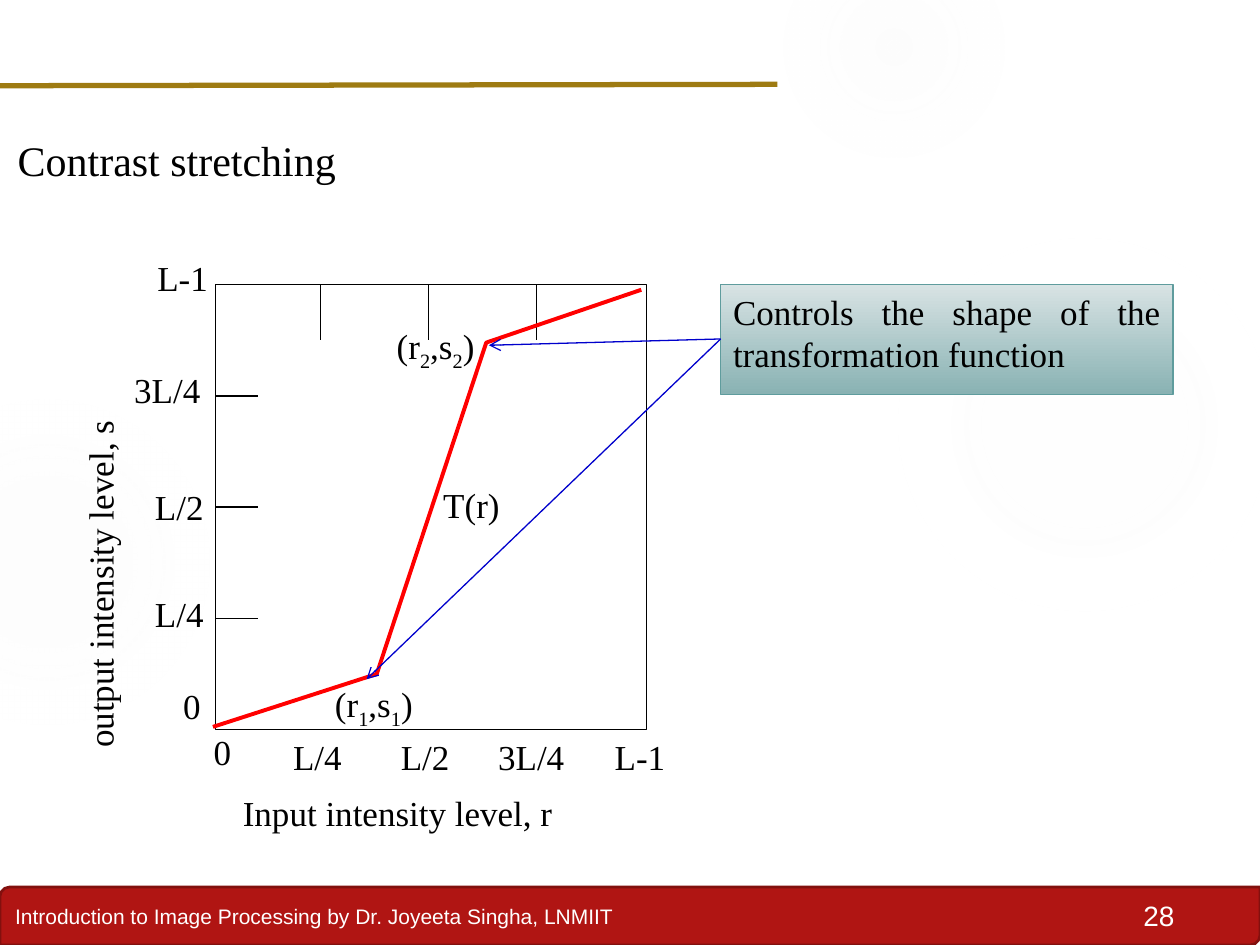
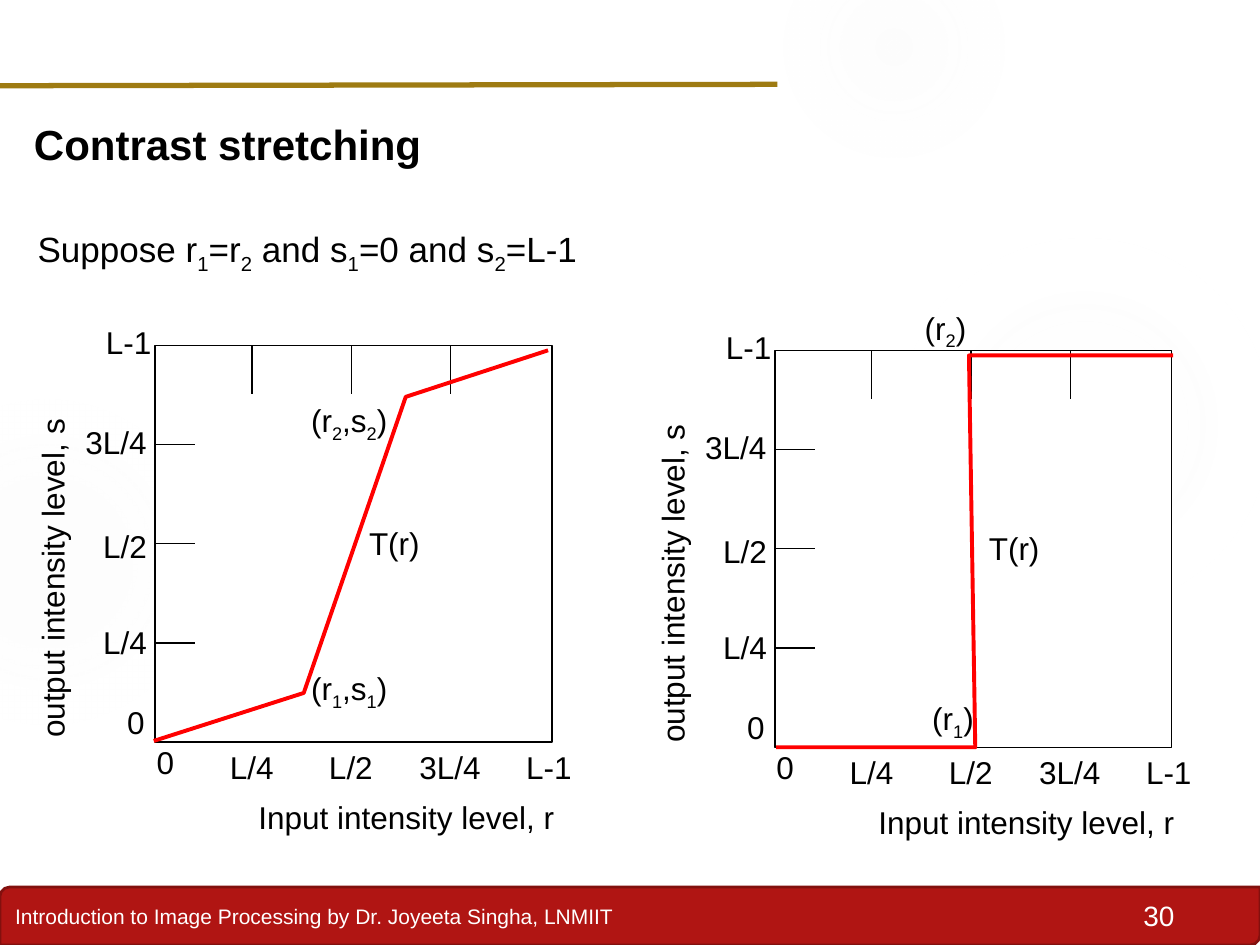
from dataclasses import dataclass

from lxml import etree
from pptx import Presentation
from pptx.dml.color import RGBColor
from pptx.enum import shapes, text
from pptx.oxml import ns, parse_xml
from pptx.util import Pt


@dataclass(frozen=True)
class Theme:
    ink: str = "000000"
    paper: str = "FFFFFF"
    band: str = "B01513"
    band_edge: str = "82100E"
    gold: str = "9E7B12"
    halo: str = "F3F3F3"
    curve: str = "FF0000"
    arrow: str = "0000CC"
    callout_top: str = "D8E3E4"
    callout_bottom: str = "89B2B3"
    callout_edge: str = "5F9C9D"
    sans: str = "Arial"
    serif: str = "Times New Roman"
    title: int = 24
    large: int = 20
    label: int = 18
    number: int = 16
    footer: int = 12


THEME = Theme()
FOOTER = "Introduction to Image Processing by Dr. Joyeeta Singha, LNMIIT"
HALOS = [
    (509, 131.8, 221.8, [(0, 7), (36, 6), (69, 0)]),
    (447.8, -36, 126, [(0, 14), (36, 7), (73, 0)]),
    (-66.2, 228.2, 185.8, [(0, 8), (36, 8), (72, 0)]),
]
X_LABELS = ["0", "L/4", "L/2", "3L/4", "L-1"]
LABEL_WIDTHS = {"0": 24.4, "L/4": 39.6, "L/2": 39.6, "3L/4": 49.8, "L-1": 41}
Y_NUDGES = [(-1.5, -11.5), (0, -0.5), (0, 1.5), (0, -1.3), (3, -1.8)]
TICK_SHIFT = -1.3


def rgb(color):
    return RGBColor.from_string(color)


class Page:
    def __init__(self, deck, theme, font, size):
        self.deck, self.theme = deck, theme
        self.font, self.size = font, size
        self.slide = deck.slides.add_slide(deck.slide_layouts[5])
        self.items = self.slide.shapes

    def set_text(self, box, words, size=None, font=None, color=None, bold=False,
                 align=text.PP_ALIGN.LEFT, anchor=text.MSO_ANCHOR.TOP):
        frame = box.text_frame
        frame.word_wrap = True
        frame.auto_size = text.MSO_AUTO_SIZE.NONE
        frame.vertical_anchor = anchor
        frame.margin_left = frame.margin_right = Pt(7.2)
        frame.margin_top = frame.margin_bottom = Pt(3.6)
        para = frame.paragraphs[0]
        para.alignment = align
        para.font.size = Pt(size or self.size)
        para.font.name = font or self.font
        para.font.bold = bold
        para.font.color.rgb = rgb(color or self.theme.ink)
        first, *rest = words.split("_")
        para.add_run().text = first
        for part in rest:
            span = para.add_run()
            span.text = part[0]
            span.font._element.set("baseline", "-25000")
            if part[1:]:
                para.add_run().text = part[1:]

    def title(self, words, left, top, width, bold=False):
        box = self.items.title
        box.left, box.top, box.width, box.height = map(Pt, (left, top, width, 36))
        self.set_text(box, words, self.theme.title, bold=bold)

    def label(self, words, left, top, width, height, turn=0, **style):
        box = self.items.add_textbox(*map(Pt, (left, top, width, height)))
        box.rotation = turn
        self.set_text(box, words, **style)

    def shape(self, kind, left, top, width, height, fill=None, line=None, weight=0.75):
        shape = self.items.add_shape(kind, *map(Pt, (left, top, width, height)))
        shape.shadow.inherit = False
        if fill:
            shape.fill.solid()
            shape.fill.fore_color.rgb = rgb(fill)
        if line:
            shape.line.color.rgb = rgb(line)
            shape.line.width = Pt(weight)
        else:
            shape.line.fill.background()
        return shape

    def line(self, start, end, color=None, weight=0.75, arrow=False):
        line = self.items.add_connector(
            shapes.MSO_CONNECTOR.STRAIGHT, *map(Pt, (*start, *end)))
        line.line.color.rgb = rgb(color or self.theme.ink)
        line.line.width = Pt(weight)
        if arrow:
            etree.SubElement(line.line._get_or_add_ln(), ns.qn("a:tailEnd"), type="arrow")
        etree.SubElement(line._element.spPr, ns.qn("a:effectLst"))

    def halo(self, left, top, size, stops):
        shape = self.shape(shapes.MSO_SHAPE.OVAL, left, top, size, size, self.theme.halo)
        marks = "".join(
            f'<a:gs pos="{place * 1000}"><a:srgbClr val="{self.theme.halo}">'
            f'<a:alpha val="{alpha * 1000}"/></a:srgbClr></a:gs>'
            for place, alpha in stops)
        solid = shape._element.spPr.find(ns.qn("a:solidFill"))
        solid.getparent().replace(solid, parse_xml(
            f'<a:gradFill {ns.nsdecls("a")}><a:gsLst>{marks}</a:gsLst><a:path path="circle">'
            '<a:fillToRect l="50000" t="50000" r="50000" b="50000"/></a:path></a:gradFill>'))

    def furniture(self, number):
        theme = self.theme
        band = self.shape(shapes.MSO_SHAPE.ROUND_2_DIAG_RECTANGLE, 0, 506.9, 720, 33.1,
                          theme.band, theme.band_edge, 1.5)
        self.set_text(band, FOOTER, theme.footer, theme.sans, theme.paper,
                      anchor=text.MSO_ANCHOR.MIDDLE)
        for halo in HALOS:
            self.halo(*halo)
        self.label(str(number), 624.2, 509.8, 54, 26.6, size=theme.number,
                   font=theme.sans, color=theme.paper, align=text.PP_ALIGN.RIGHT)
        self.line((-1.4, 49), (444.2, 48.2), theme.gold, 3)

    def curve(self, points):
        start, *rest = [(Pt(x), Pt(y)) for x, y in points]
        builder = self.items.build_freeform(*start)
        builder.add_line_segments(rest, close=False)
        curve = builder.convert_to_shape()
        curve.shadow.inherit = False
        curve.fill.background()
        curve.line.color.rgb = rgb(self.theme.curve)
        curve.line.width = Pt(2.25)

    def plot(self, left, top, width, height, tick, scale, label_height, label_right,
             input_title, output_title, points, notes):
        bottom = top + height
        self.shape(shapes.MSO_SHAPE.RECTANGLE, left, top, width, height,
                   self.theme.paper, self.theme.ink)
        for step in range(1, 4):
            x = left + width * step / 4 + TICK_SHIFT
            y = bottom - height * step / 4
            self.line((left, y), (left + tick[0], y))
            self.line((x, top), (x, top + tick[1]))
        for step, (words, (dx, dy)) in enumerate(zip(X_LABELS, Y_NUDGES)):
            wide = LABEL_WIDTHS[words] * scale
            x = left + width * step / 4 + (TICK_SHIFT if step else 6)
            y = bottom - height * step / 4
            self.label(words, x - wide / 2, bottom - (0 if step else 3), wide, label_height)
            self.label(words, left + label_right + dx - wide,
                       y + dy - label_height / 2, wide, label_height)
        dx, dy, wide = input_title
        self.label("Input intensity level, r", left + dx, top + dy, wide, label_height)
        dx, dy, wide = output_title
        self.label("output intensity level, s", left + dx - wide / 2,
                   top + dy - label_height / 2, wide, label_height, turn=270)
        self.curve([(left + x, top + y) for x, y in points])
        for words, dx, dy, wide in notes:
            self.label(words, left + dx, top + dy, wide, label_height)

    def callout(self, words, left, top, width, height):
        theme = self.theme
        box = self.shape(shapes.MSO_SHAPE.RECTANGLE, left, top, width, height,
                         line=theme.callout_edge)
        box.fill.gradient()
        box.fill.gradient_angle = 270
        for stop, color in zip(box.fill.gradient_stops,
                               (theme.callout_top, theme.callout_bottom)):
            stop.color.rgb = rgb(color)
        self.set_text(box, words, align=text.PP_ALIGN.JUSTIFY)


def stretching_slide(deck):
    page = Page(deck, THEME, THEME.serif, THEME.large)
    page.furniture(28)
    page.title("Contrast stretching", 2.9, 73.4, 224.6)
    page.plot(
        123.1, 162.7, 246.2, 254.2, tick=(24.5, 31.7), scale=1.16,
        label_height=35.3, label_right=4.3,
        input_title=(8.6, 285.8, 233.3), output_title=(-64.1, 142.9, 257.8),
        points=[(-1.4, 252.7), (92.2, 222.5), (154.8, 33.1), (243.4, 2.9)],
        notes=[("(r_1,s_1)", 61.2, 223.9, 70.6), ("(r_2,s_2)", 96.5, 19.4, 70.6),
               ("T(r)", 123.1, 110.2, 51)])
    page.callout("Controls the shape of the transformation function",
                 411.8, 162.7, 258.5, 62.6)
    for target in [(279.4, 197.3), (209.5, 388.1)]:
        page.line((411.8, 193.7), target, THEME.arrow, arrow=True)


def threshold_slide(deck):
    page = Page(deck, THEME, THEME.sans, THEME.label)
    page.furniture(30)
    page.title("Contrast stretching", 12.2, 64.1, 244.8, bold=True)
    page.label("Suppose r_1=r_2 and s_1=0 and s_2=L-1", 14.4, 126.7, 335, 31.7,
               size=THEME.large)
    plots = [
        (88.6, 197.3,
         [(-0.7, 226.1), (85, 198.7), (143.3, 29.5), (224.6, 2.9)],
         [("(r_1,s_1)", 82.1, 181.4, 60.5), ("(r_2,s_2)", 82.1, 28.1, 60.5)]),
        (442.8, 200.2,
         [(0.7, 226.8), (114.5, 226.8), (110.9, 2.9), (227.5, 2.9)],
         [("(r_1)", 82.8, 195.8, 40), ("(r_2)", 78.5, -27.4, 40)]),
    ]
    for left, top, points, notes in plots:
        page.plot(
            left, top, 226.8, 226.8, tick=(23, 28.1), scale=1,
            label_height=29, label_right=2.9,
            input_title=(52, 254.9, 195), output_title=(-58.7, 127.4, 208),
            points=points, notes=notes + [("T(r)", 115.2, 98.6, 44)])


def main():
    deck = Presentation()
    deck.slide_width, deck.slide_height = Pt(720), Pt(540)
    stretching_slide(deck)
    threshold_slide(deck)
    deck.save("out.pptx")


if __name__ == "__main__":
    main()
